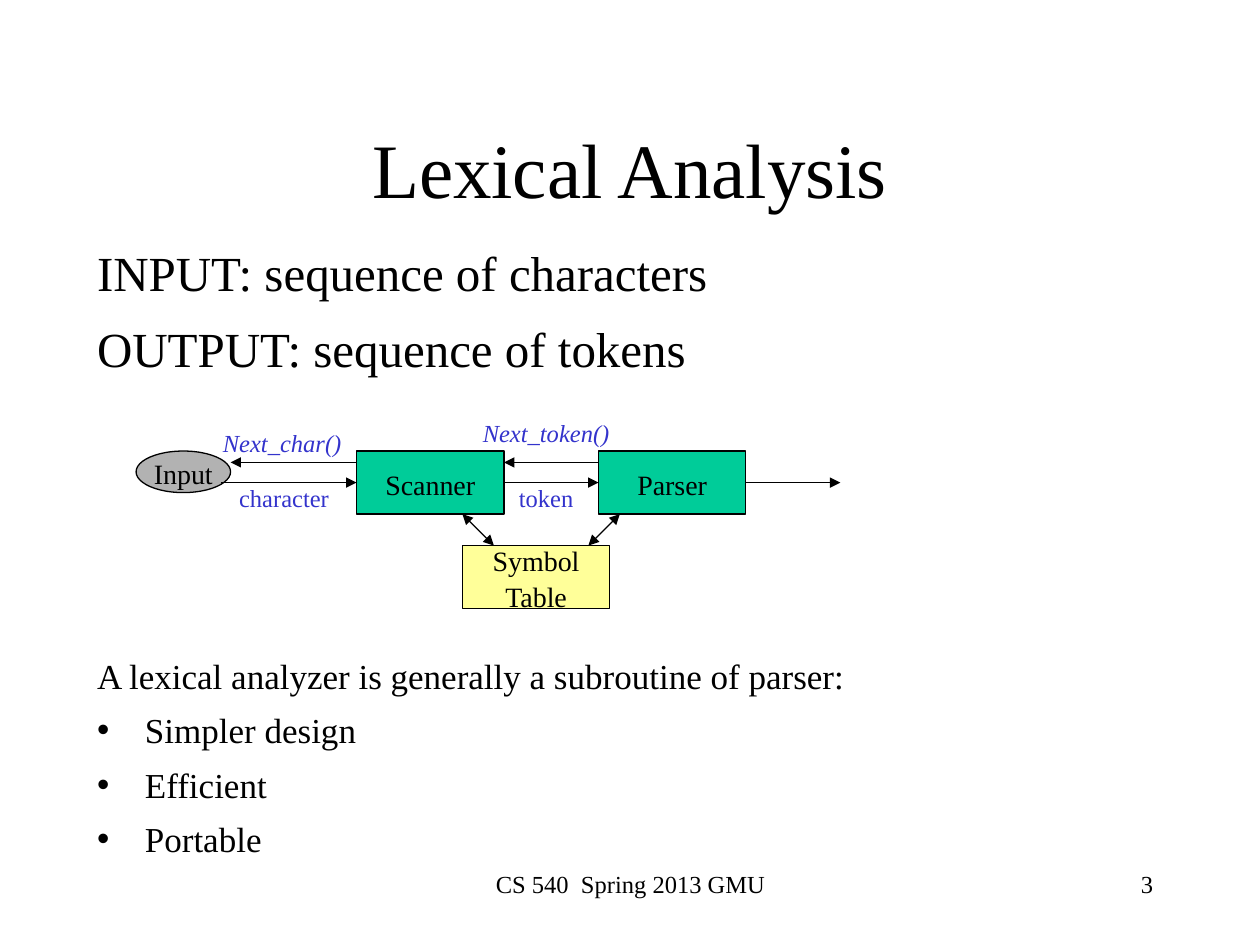
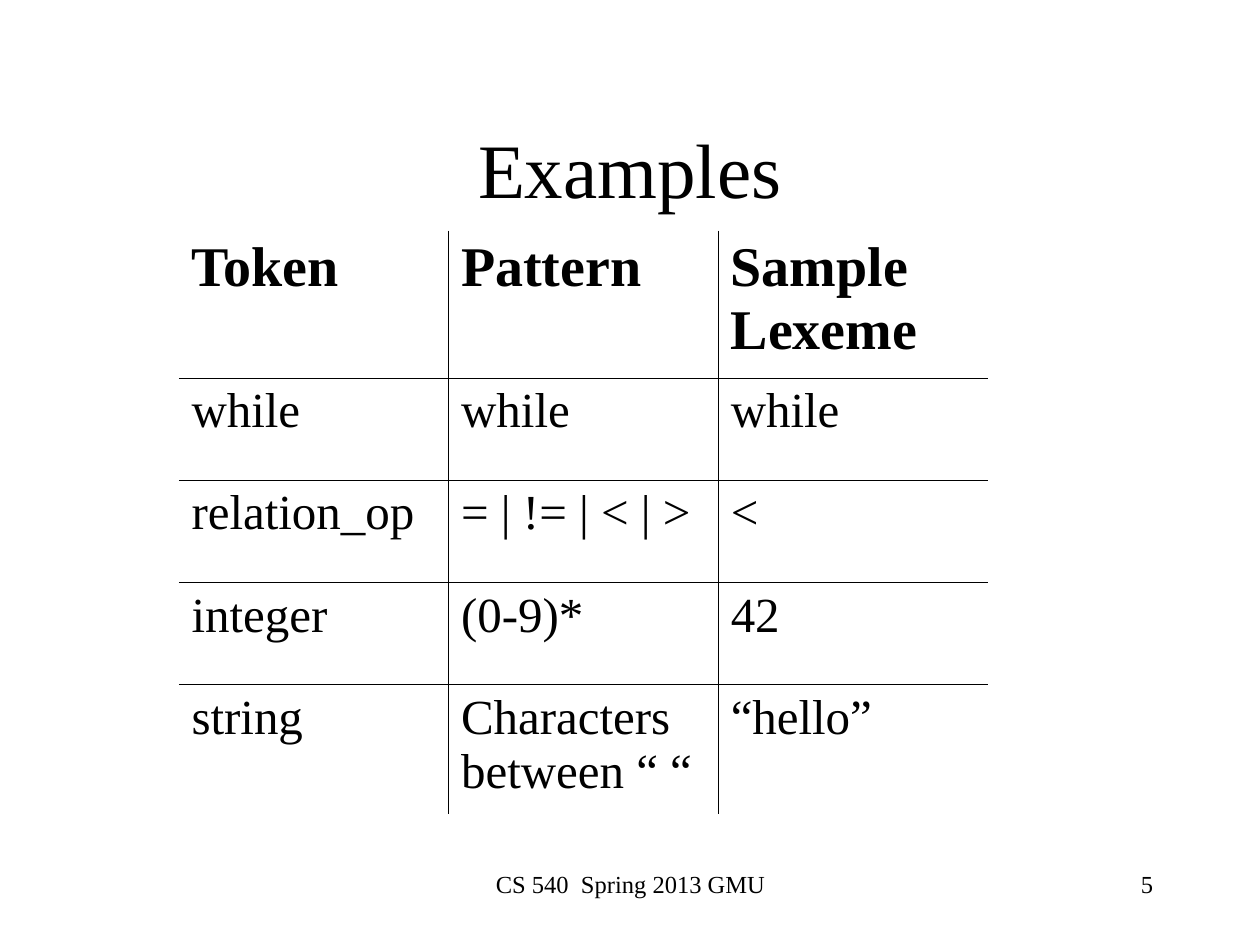
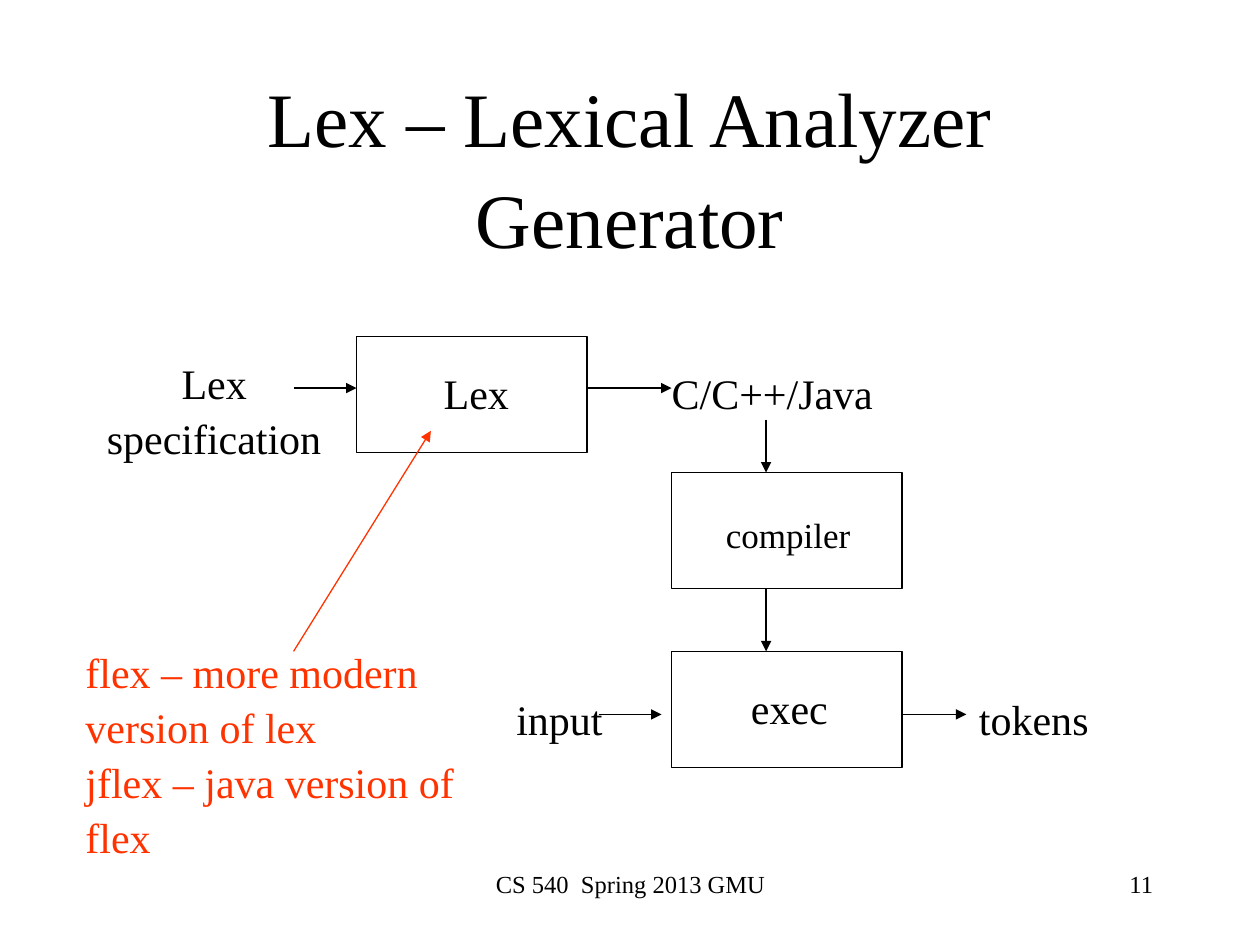
from dataclasses import dataclass

from pptx import Presentation
from pptx.dml.color import RGBColor as RGB
from pptx.enum.shapes import MSO_CONNECTOR as CONN, MSO_SHAPE as SHAPE
from pptx.enum.text import MSO_ANCHOR as ANCHOR, MSO_AUTO_SIZE as AUTO, PP_ALIGN as ALIGN
from pptx.oxml.ns import qn
from pptx.util import Inches, Pt
from lxml.etree import SubElement


@dataclass(frozen=True)
class Theme:
    font: str = "Times New Roman"
    leading: float = 1.09
    # Colours
    black: str = "000000"
    grey: str = "B2B2B2"
    green: str = "00CC99"
    yellow: str = "FFFF99"
    blue: str = "3333CC"
    red: str = "FF3300"
    # Type sizes and line widths in points
    title: int = 44
    header: int = 32
    large: int = 28
    medium: int = 24
    small: int = 20
    node: int = 16
    note: int = 14
    line: float = 0.75
    border: float = 0.45


T = Theme()
BOX = (1.83, 0.92)
NODE = (1.17, 0.5)


class Deck:
    """Holds the style and the slide being built."""

    def __init__(self):
        self.prs = Presentation()
        self.prs.slide_width, self.prs.slide_height = Inches(10), Inches(7.5)

    def new_slide(self, title, number, layout="Title Only"):
        self.slide = self.prs.slides.add_slide(self.prs.slide_layouts.get_by_name(layout))
        sp = self.slide.shapes.title
        self.place(sp, 0.75, 0.67, 8.5, 1.25)
        self.fill_text(sp.text_frame, [title], T.title, anchor=ANCHOR.MIDDLE)
        # Footer and slide number
        self.text(3.42, 6.83, 3.17, 0.5, ["CS 540  Spring 2013 GMU"], T.note, wrap=True)
        self.text(7.17, 6.83, 2.08, 0.5, [number], T.note, align=ALIGN.RIGHT, wrap=True)

    def place(self, sp, x, y, w, h):
        sp.left, sp.top, sp.width, sp.height = map(Inches, (x, y, w, h))

    def add_text(self, p, text, size, color=T.black, bold=False, italic=False):
        r = p.add_run()
        r.text = text
        f = r.font
        f.name, f.size, f.bold, f.italic = T.font, Pt(size), bold, italic
        f.color.rgb = RGB.from_string(color)

    def fill_text(self, tf, lines, size, color=T.black, align=ALIGN.CENTER,
                  anchor=ANCHOR.TOP, wrap=True, italic=False):
        tf.word_wrap, tf.auto_size, tf.vertical_anchor = wrap, AUTO.NONE, anchor
        for i, line in enumerate(lines):
            p = tf.add_paragraph() if i else tf.paragraphs[0]
            p.alignment, p.line_spacing = align, T.leading
            self.add_text(p, line, size, color, italic=italic)

    def text(self, x, y, w, h, lines, size, wrap=False, **style):
        sp = self.slide.shapes.add_textbox(*map(Inches, (x, y, w, h)))
        self.fill_text(sp.text_frame, lines, size, wrap=wrap, **style)

    def body(self, x, y, w, h, items):
        """Each item is text, size, space before, bulleted."""
        sp = self.slide.placeholders[1]
        self.place(sp, x, y, w, h)
        tf = sp.text_frame
        tf.auto_size = AUTO.NONE
        for i, (text, size, before, bulleted) in enumerate(items):
            p = tf.add_paragraph() if i else tf.paragraphs[0]
            pPr = p._p.get_or_add_pPr()
            pPr.set("marL", str(Inches(0.38)))
            pPr.set("indent", str(-Inches(0.38)))
            if bulleted:
                SubElement(pPr, qn("a:buChar"), char="•")
            else:
                SubElement(pPr, qn("a:buNone"))
            p.alignment, p.line_spacing, p.space_before = ALIGN.LEFT, T.leading, Pt(before)
            self.add_text(p, text, size)

    def shape(self, x, y, size, fill=None, lines=(), kind=SHAPE.RECTANGLE):
        sp = self.slide.shapes.add_shape(kind, *map(Inches, (x, y, *size)))
        sp.shadow.inherit = False
        if fill:
            sp.fill.solid()
            sp.fill.fore_color.rgb = RGB.from_string(fill)
        else:
            sp.fill.background()
        sp.line.color.rgb = RGB.from_string(T.black)
        sp.line.width = Pt(T.line)
        if lines:
            self.fill_text(sp.text_frame, lines, T.node, anchor=ANCHOR.MIDDLE, wrap=False)

    def arrow(self, x1, y1, x2, y2, color=T.black, both=False):
        c = self.slide.shapes.add_connector(CONN.STRAIGHT, *map(Inches, (x1, y1, x2, y2)))
        c.line.color.rgb = RGB.from_string(color)
        c.line.width = Pt(T.line)
        ln = c.line._get_or_add_ln()
        for end in ("a:headEnd", "a:tailEnd") if both else ("a:tailEnd",):
            SubElement(ln, qn(end), type="triangle")
        SubElement(c._element.spPr, qn("a:effectLst"))

    def table(self, x, y, col_width, heights, rows):
        n_rows, n_cols = len(rows), len(rows[0])
        frame = self.slide.shapes.add_table(
            n_rows, n_cols, *map(Inches, (x, y, col_width * n_cols, sum(heights))))
        table = frame.table
        table.first_row = table.horz_banding = False
        for col in table.columns:
            col.width = Inches(col_width)
        for i, (row, height) in enumerate(zip(rows, heights)):
            table.rows[i].height = Inches(height)
            for j, text in enumerate(row):
                cell = table.cell(i, j)
                self.add_text(cell.text_frame.paragraphs[0], text,
                              T.large if i else T.header, bold=i == 0)
                # Only inner edges are ruled
                self.borders(cell, lnL=j > 0, lnR=j < n_cols - 1,
                             lnT=i > 0, lnB=i < n_rows - 1)
                cell.fill.background()

    def borders(self, cell, **edges):
        tcPr = cell._tc.get_or_add_tcPr()
        for tag, ruled in edges.items():
            ln = SubElement(tcPr, qn("a:" + tag), w=str(Pt(T.border)))
            if ruled:
                SubElement(SubElement(ln, qn("a:solidFill")), qn("a:srgbClr"), val=T.black)
            else:
                SubElement(ln, qn("a:noFill"))


def lexical_analysis(d):
    d.new_slide("Lexical Analysis", "3", "Title and Content")
    d.body(0.67, 1.83, 8.5, 5.08, [
        ("INPUT: sequence of characters", T.large, 0, False),
        ("OUTPUT: sequence of tokens", T.large, 7, False),
        ("A lexical analyzer is generally a subroutine of parser:", T.small, 156, False),
        *((item, T.small, 5, True) for item in ("Simpler design", "Efficient", "Portable")),
    ])
    # Nodes
    d.shape(1.08, 3.58, (0.75, 0.33), T.grey, ["Input"], SHAPE.OVAL)
    d.shape(2.83, 3.58, NODE, T.green, ["Scanner"])
    d.shape(4.75, 3.58, NODE, T.green, ["Parser"])
    d.shape(3.67, 4.33, NODE, T.yellow, ["Symbol", "Table"])
    # Links to the symbol table
    d.arrow(3.67, 4.08, 3.92, 4.33, both=True)
    d.arrow(4.92, 4.08, 4.67, 4.33, both=True)
    # Requests go left, results go right
    for x1, x2, y in ((2.83, 1.83, 3.67), (1.75, 2.83, 3.83), (4.75, 4, 3.67),
                      (4, 4.75, 3.83), (5.92, 6.67, 3.83)):
        d.arrow(x1, y, x2, y)
    for x, y, w, label, italic in ((1.67, 3.33, 1.14, "Next_char()", True),
                                   (1.8, 3.76, 0.91, "character", False),
                                   (4.02, 3.76, 0.63, "token", False),
                                   (3.73, 3.25, 1.21, "Next_token()", True)):
        d.text(x, y, w, 0.34, [label], T.note, color=T.blue, italic=italic)


def examples(d):
    d.new_slide("Examples", "5")
    d.table(1.42, 1.83, 2.14, [1.17, 0.81, 0.81, 0.81, 1.03], [
        ("Token", "Pattern", "Sample Lexeme"),
        ("while", "while", "while"),
        ("relation_op", "= | != | < | >", "<"),
        ("integer", "(0-9)*", "42"),
        ("string", "Characters between “ “", "“hello”"),
    ])


def lex_generator(d):
    d.new_slide("Lex – Lexical Analyzer Generator", "11")
    # Processing steps
    for x, y in ((2.83, 2.67), (5.33, 3.75), (5.33, 5.17)):
        d.shape(x, y, BOX)
    for x, y, w, label in ((3.42, 2.83, 0.72, "Lex"), (5.86, 5.33, 0.81, "exec"),
                           (5.23, 2.83, 1.8, "C/C++/Java"), (4, 5.42, 0.88, "input"),
                           (7.67, 5.42, 1.07, "tokens")):
        d.text(x, y, w, 0.5, [label], T.medium)
    d.text(5.66, 4, 1.19, 0.44, ["compiler"], T.small)
    d.text(0.75, 2.75, 1.9, 0.9, ["Lex", "specification"], T.medium)
    # Flow
    for x1, x2, y in ((4.75, 5.25, 5.67), (7.17, 7.67, 5.67),
                      (2.33, 2.83, 3.08), (4.67, 5.33, 3.08)):
        d.arrow(x1, y, x2, y)
    for y1, y2 in ((3.33, 3.75), (4.67, 5.17)):
        d.arrow(6.08, y1, 6.08, y2)
    # Remark on newer versions
    d.text(0.58, 5.05, 3.12, 1.7, ["flex – more modern", "version of lex",
                                   "jflex – java version of", "flex"],
           T.medium, color=T.red, align=ALIGN.LEFT)
    d.arrow(2.33, 5.17, 3.42, 3.42, T.red)


def main():
    d = Deck()
    for build in (lexical_analysis, examples, lex_generator):
        build(d)
    d.prs.save("out.pptx")


if __name__ == "__main__":
    main()
